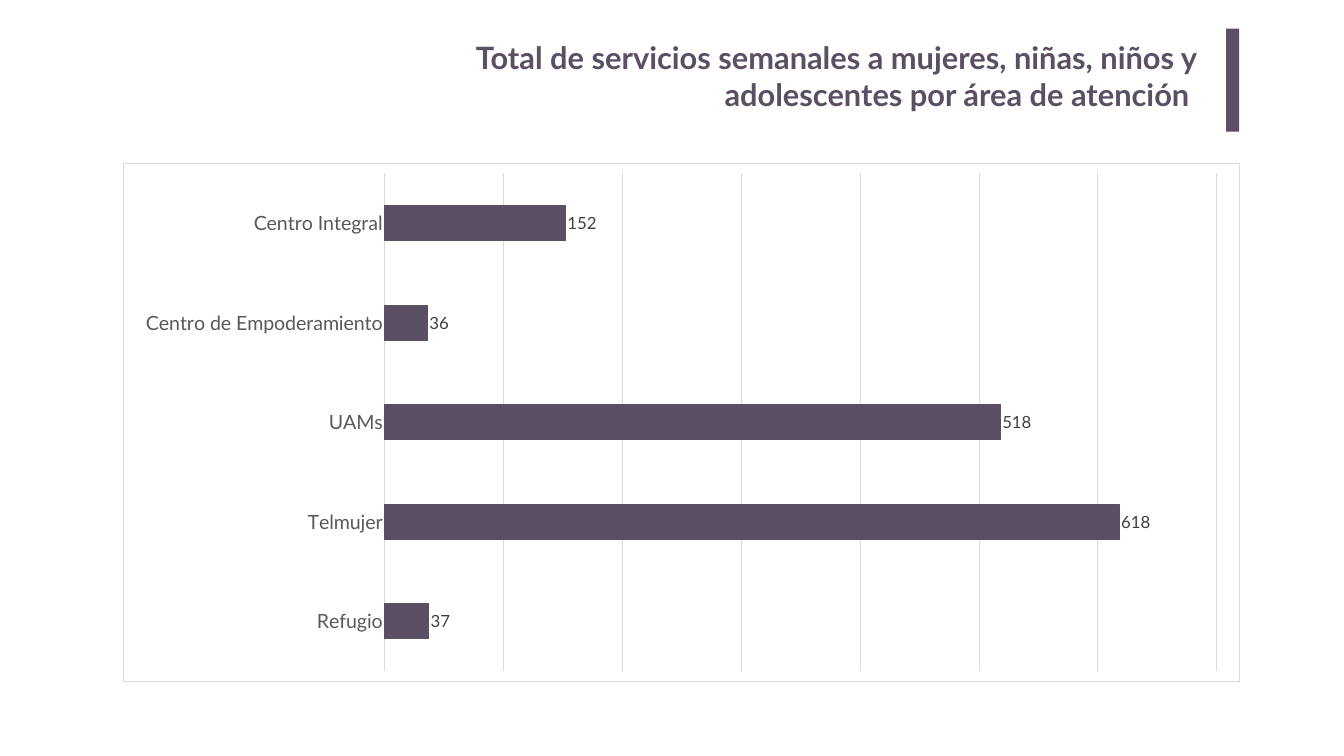
from lxml.etree import SubElement
from pptx import Presentation
from pptx.chart.data import CategoryChartData
from pptx.dml.color import RGBColor
from pptx.enum.chart import XL_CHART_TYPE, XL_LABEL_POSITION, XL_TICK_LABEL_POSITION, XL_TICK_MARK
from pptx.enum.shapes import MSO_SHAPE
from pptx.enum.text import MSO_ANCHOR, PP_ALIGN
from pptx.oxml import parse_xml
from pptx.oxml.ns import nsdecls, qn
from pptx.util import Inches, Pt

PLUM = "5B4F63"
RULE = "D9D9D9"
FONT = "Lato"
SERVICES = {
    "Centro Integral": 152,
    "Centro de Empoderamiento": 36,
    "UAMs": 518,
    "Telmujer": 618,
    "Refugio": 37,
}


def paint(color_format, color):
    """Set a colour format from a hex string."""
    color_format.rgb = RGBColor.from_string(color)


def fill_solid(fill, color):
    """Give a fill one solid colour."""
    fill.solid()
    paint(fill.fore_color, color)


def style_font(font, size, color, bold=False):
    """Set typeface, size, colour and weight."""
    font.name, font.size, font.bold = FONT, Pt(size), bold
    paint(font.color, color)


def style_line(line, color):
    """Draw a thin line in one colour."""
    line.width = Pt(0.75)
    fill_solid(line.fill, color)


def add_heading(slide, left, top, width, height, text):
    """Place the right-aligned heading with its accent bar at the right edge."""
    bar_width = 0.26
    heading = slide.shapes.add_textbox(
        Inches(left), Inches(top + 0.1), Inches(width - 0.63), Inches(height))
    frame = heading.text_frame
    frame.word_wrap = True
    frame.vertical_anchor = MSO_ANCHOR.TOP
    frame.margin_left = frame.margin_right = Inches(0.2)
    frame.margin_top = frame.margin_bottom = Inches(0.1)
    paragraph = frame.paragraphs[0]
    paragraph.alignment = PP_ALIGN.RIGHT
    run = paragraph.add_run()
    run.text = text
    style_font(run.font, 44, PLUM, bold=True)

    accent = slide.shapes.add_shape(
        MSO_SHAPE.RECTANGLE, Inches(left + width - bar_width), Inches(top),
        Inches(bar_width), Inches(height))
    accent.shadow.inherit = False
    fill_solid(accent.fill, PLUM)
    accent.line.fill.background()


def frame_chart(chart, x, y, w, h):
    """Border the chart and fix its inner plot area as fractions of the box."""
    chart_part = chart._chartSpace.find(qn("c:chart"))
    chart_part.addnext(parse_xml(
        f'<c:spPr {nsdecls("c", "a")}>'
        '<a:solidFill><a:srgbClr val="FFFFFF"/></a:solidFill>'
        f'<a:ln w="9525"><a:solidFill><a:srgbClr val="{RULE}"/></a:solidFill></a:ln>'
        '</c:spPr>'))
    plot_area = chart_part.find(qn("c:plotArea"))
    for old_layout in plot_area.findall(qn("c:layout")):
        plot_area.remove(old_layout)
    layout = parse_xml(f'<c:layout {nsdecls("c")}/>')
    plot_area.insert(0, layout)
    manual = SubElement(layout, qn("c:manualLayout"))
    settings = {"layoutTarget": "inner", "xMode": "edge", "yMode": "edge",
                "x": x, "y": y, "w": w, "h": h}
    for tag, value in settings.items():
        SubElement(manual, qn(f"c:{tag}")).set("val", str(value))


def add_services_chart(slide, left, top, width, height):
    """Place the bar chart of weekly services by area."""
    data = CategoryChartData()
    data.categories = list(SERVICES)
    data.add_series("Series 1", list(SERVICES.values()))
    chart = slide.shapes.add_chart(
        XL_CHART_TYPE.BAR_CLUSTERED, Inches(left), Inches(top),
        Inches(width), Inches(height), data).chart
    chart.has_legend = chart.has_title = False
    style_font(chart.font, 10, "000000")
    frame_chart(chart, 0.234, 0.02, 0.746, 0.96)

    areas = chart.category_axis
    areas.reverse_order = True
    areas.major_tick_mark = areas.minor_tick_mark = XL_TICK_MARK.NONE
    areas.tick_label_position = XL_TICK_LABEL_POSITION.NEXT_TO_AXIS
    style_font(areas.tick_labels.font, 28, "595959")
    style_line(areas.format.line, RULE)

    totals = chart.value_axis
    totals.minimum_scale, totals.maximum_scale, totals.major_unit = 0, 700, 100
    totals.has_major_gridlines = True
    style_line(totals.major_gridlines.format.line, RULE)
    totals.visible = False

    plot = chart.plots[0]
    plot.gap_width = 182
    plot.vary_by_categories = False
    services = plot.series[0]
    fill_solid(services.format.fill, PLUM)
    style_line(services.format.line, PLUM)
    labels = services.data_labels
    labels.show_value = True
    labels.position = XL_LABEL_POSITION.OUTSIDE_END
    style_font(labels.font, 24, "404040")


def main():
    """Build and save the slide."""
    deck = Presentation()
    deck.slide_width, deck.slide_height = Inches(26.67), Inches(15)
    slide = deck.slides.add_slide(deck.slide_layouts[6])
    fill_solid(slide.background.fill, "FFFFFF")
    add_heading(slide, 6.56, 0.57, 18.03, 2.04,
                "Total de servicios semanales a mujeres, niñas, niños y "
                "adolescentes por área de atención ")
    add_services_chart(slide, 2.45, 3.23, 22.14, 10.29)
    deck.save("out.pptx")


if __name__ == "__main__":
    main()
